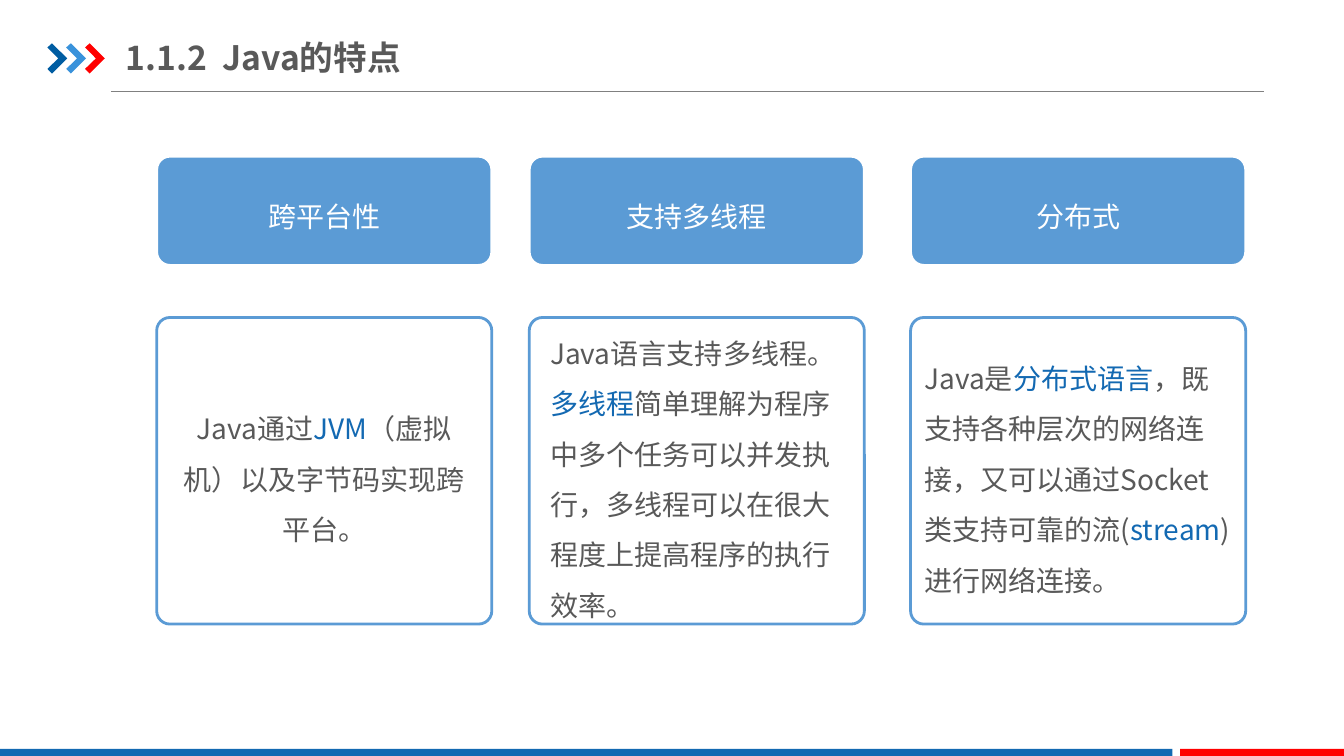
from lxml import etree
from pptx import Presentation
from pptx.dml.color import RGBColor
from pptx.enum.shapes import MSO_CONNECTOR, MSO_SHAPE
from pptx.enum.text import MSO_ANCHOR, PP_ALIGN
from pptx.oxml.ns import qn
from pptx.util import Inches, Pt

FONT = "Noto Sans CJK SC"
WHITE = RGBColor(0xFF, 0xFF, 0xFF)
GRAY = RGBColor(0x59, 0x59, 0x59)
RULE_GRAY = RGBColor(0x80, 0x80, 0x80)
DARK_BLUE = RGBColor(0x00, 0x5D, 0xA2)
LIGHT_BLUE = RGBColor(0x39, 0x92, 0xDB)
CARD_BLUE = RGBColor(0x5B, 0x9B, 0xD5)
ACCENT_BLUE = RGBColor(0x13, 0x69, 0xB2)
RED = RGBColor(0xFF, 0x00, 0x00)

presentation = Presentation()
presentation.slide_width = Inches(13.33)
presentation.slide_height = Inches(7.5)
slide = presentation.slides.add_slide(presentation.slide_layouts[6])
shapes = slide.shapes

# The slide is a grid of 160 columns by 90 rows
COLUMN = presentation.slide_width / 160
ROW = presentation.slide_height / 90


def place(column, row, columns, rows):
    """Turn a grid position and size into slide lengths."""
    return (round(column * COLUMN), round(row * ROW),
            round(columns * COLUMN), round(rows * ROW))


def write(shape, runs, size=20, bold=False, align=PP_ALIGN.LEFT, spacing=1.0,
          side=0.1, edge=0.05):
    """Fill a shape with one paragraph of (text, color) runs."""
    frame = shape.text_frame
    frame.word_wrap = True
    frame.vertical_anchor = MSO_ANCHOR.MIDDLE
    frame.margin_left = frame.margin_right = Inches(side)
    frame.margin_top = frame.margin_bottom = Inches(edge)
    paragraph = frame.paragraphs[0]
    paragraph.alignment = align
    paragraph.line_spacing = spacing
    for text, color in runs:
        run = paragraph.add_run()
        run.text = text
        run.font.size = Pt(size)
        run.font.bold = bold
        run.font.color.rgb = color
        run.font.name = FONT
        etree.SubElement(run.font._element, qn("a:ea"), typeface=FONT)


# Header
left, top, width, _ = place(13.2, 10.92, 137.3, 0)
rule = shapes.add_connector(MSO_CONNECTOR.STRAIGHT, left, top, left + width, top)
rule.line.color.rgb = RULE_GRAY
rule.line.width = Pt(0.75)
etree.SubElement(rule._element.spPr, qn("a:effectLst"))

CHEVRON = [(0, 0.5), (0.55, 0), (2.36, 1.8), (0.55, 3.6), (0, 3.05), (1.3, 1.8)]
for index, color in enumerate([DARK_BLUE, LIGHT_BLUE, RED]):
    points = [place(5.64 + 2.24 * index + x, 5.16 + y, 0, 0)[:2] for x, y in CHEVRON]
    builder = shapes.build_freeform(*points[0], scale=1.0)
    builder.add_line_segments(points[1:], close=True)
    chevron = builder.convert_to_shape()
    chevron.shadow.inherit = False
    chevron.fill.solid()
    chevron.fill.fore_color.rgb = color
    chevron.line.fill.background()

title = shapes.add_textbox(*place(15, 3.48, 51.1, 6.6))
write(title, [("1.1.2  Java的特点", GRAY)], size=24, bold=True, side=0, edge=0.07)

# Footer
for column, columns, color in [(0, 139.56, ACCENT_BLUE), (140.5, 19.5, RED)]:
    bar = shapes.add_shape(MSO_SHAPE.RECTANGLE, *place(column, 89.16, columns, 0.84))
    bar.shadow.inherit = False
    bar.fill.solid()
    bar.fill.fore_color.rgb = color
    bar.line.fill.background()

# Features: column, heading, description, its alignment and side margin
FEATURES = [
    (18.65, "跨平台性",
     [("Java通过", GRAY), ("JVM", ACCENT_BLUE),
      ("（虚拟机）以及字节码实现跨平台。", GRAY)],
     PP_ALIGN.CENTER, 0.1),
    (63, "支持多线程",
     [("Java语言支持多线程。", GRAY), ("多线程", ACCENT_BLUE),
      ("简单理解为程序中多个任务可以并发执行，多线程可以在很大程度上提高程序的执行效率。", GRAY)],
     PP_ALIGN.LEFT, 0.17),
    (108.4, "分布式",
     [("Java是", GRAY), ("分布式语言", ACCENT_BLUE),
      ("，既支持各种层次的网络连接，又可以通过Socket类支持可靠的流(", GRAY),
      ("stream", ACCENT_BLUE), (")进行网络连接。", GRAY)],
     PP_ALIGN.LEFT, 0.1),
]
for column, heading, description, align, side in FEATURES:
    cards = [
        (18.6, 13, 0.122, CARD_BLUE, WHITE, [(heading, WHITE)],
         PP_ALIGN.CENTER, 1.3, 0.1),
        (37.8, 36.5, 0.043, WHITE, CARD_BLUE, description, align, 1.5, side),
    ]
    for row, rows, corner, fill, outline, runs, alignment, spacing, margin in cards:
        card = shapes.add_shape(MSO_SHAPE.ROUNDED_RECTANGLE,
                                *place(column, row, 39.9, rows))
        card.adjustments[0] = corner
        card.shadow.inherit = False
        card.fill.solid()
        card.fill.fore_color.rgb = fill
        card.line.color.rgb = outline
        card.line.width = Pt(2)
        write(card, runs, align=alignment, spacing=spacing, side=margin)

presentation.save("out.pptx")
